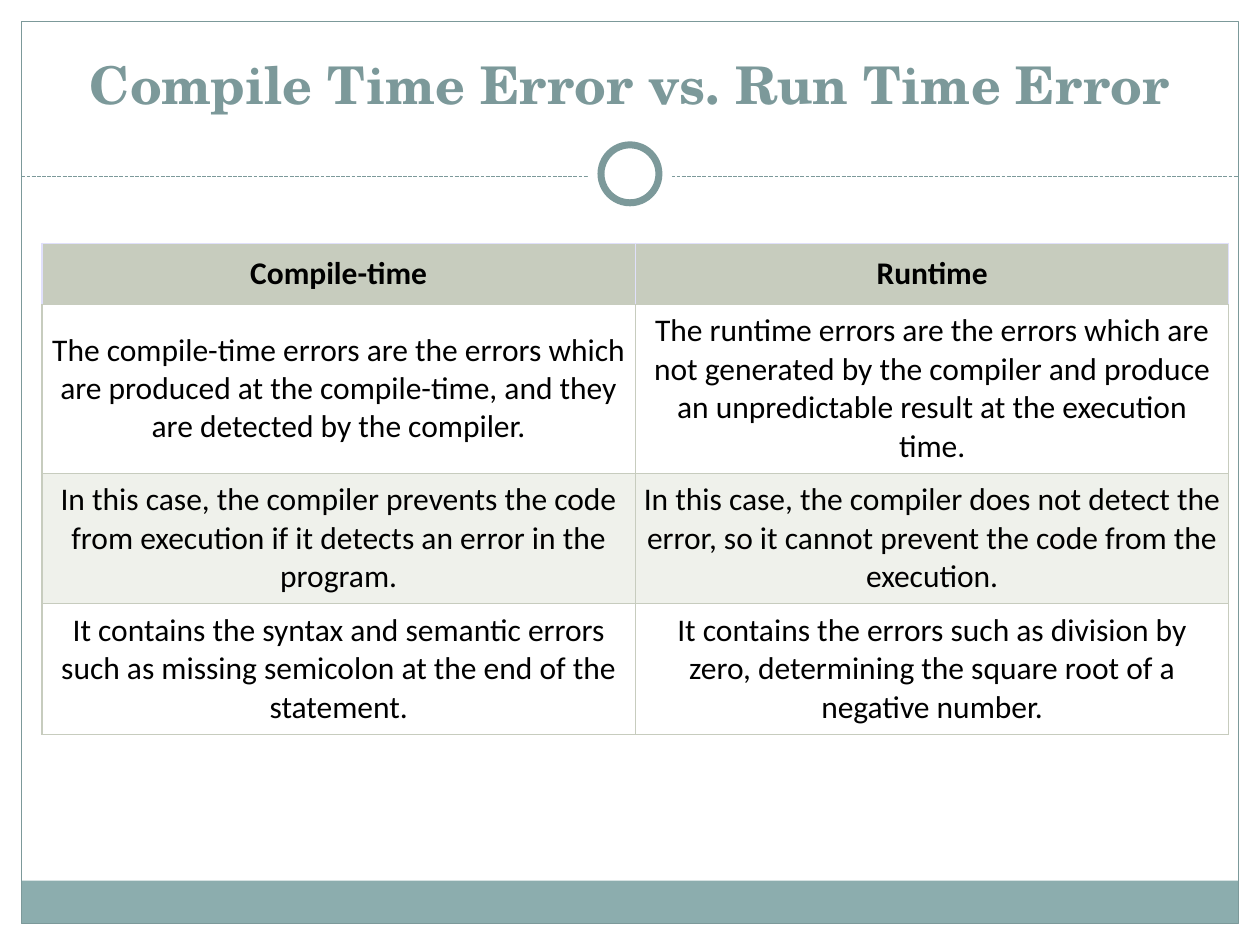
from lxml import etree
from pptx import Presentation, util as u
from pptx.dml.color import RGBColor
from pptx.enum import dml, shapes, text
from pptx.oxml import ns

WIDTH, HEIGHT = 10, 7.5
COLORS = {
    "teal": "7C999A", "band": "8CADAE", "white": "FFFFFF", "black": "000000",
    "header": "C7CCBE", "stripe": "EFF1EB", "header_edge": "E0E0FB",
}
ROWS = [
    ("Compile-time", "Runtime"),
    ("The compile-time errors are the errors which are produced at the "
     "compile-time, and they are detected by the compiler.",
     "The runtime errors are the errors which are not generated by the "
     "compiler and produce an unpredictable result at the execution time."),
    ("In this case, the compiler prevents the code from execution if it "
     "detects an error in the program.",
     "In this case, the compiler does not detect the error, so it cannot "
     "prevent the code from the execution."),
    ("It contains the syntax and semantic errors such as missing semicolon "
     "at the end of the statement.",
     "It contains the errors such as division by zero, determining the "
     "square root of a negative number."),
]
ROW_HEIGHTS = [0.4, 1.23, 1.01, 1.01]


def color(name):
    return RGBColor.from_string(COLORS[name])


def inches(*lengths):
    return [u.Inches(length) for length in lengths]


def add_text(frame, words, font, size, ink, bold):
    frame.word_wrap = True
    paragraph = frame.paragraphs[0]
    paragraph.alignment = text.PP_ALIGN.CENTER
    run = paragraph.add_run()
    run.text = words
    run.font.name, run.font.size, run.font.bold = font, u.Pt(size), bold
    run.font.color.rgb = color(ink)


def add_plain_shape(slide, kind, box, fill=None, line=None, weight=0.75):
    shape = slide.shapes.add_shape(kind, *inches(*box))
    shape.shadow.inherit = False
    if fill:
        shape.fill.solid()
        shape.fill.fore_color.rgb = color(fill)
    else:
        shape.fill.background()
    if line:
        shape.line.color.rgb = color(line)
        shape.line.width = u.Pt(weight)
    else:
        shape.line.fill.background()


def add_frame(slide, box, rule_y):
    """Border, bottom band, and the dashed rule with its central ring."""
    left, top, width, height = box
    band = 0.34
    kinds = shapes.MSO_SHAPE
    add_plain_shape(slide, kinds.RECTANGLE,
                    (left, top + height - band, width, band), fill="band")
    add_plain_shape(slide, kinds.RECTANGLE, box, line="teal")

    rule = slide.shapes.add_connector(
        shapes.MSO_CONNECTOR.STRAIGHT,
        *inches(left, rule_y, left + width, rule_y))
    rule.line.color.rgb = color("teal")
    rule.line.width = u.Pt(0.75)
    rule.line.dash_style = dml.MSO_LINE.SQUARE_DOT
    etree.SubElement(rule._element.spPr, ns.qn("a:effectLst"))

    center_x, center_y = left + width / 2, rule_y - 0.02
    for size, line in ((0.67, None), (0.46, "teal")):
        add_plain_shape(slide, kinds.OVAL,
                        (center_x - size / 2, center_y - size / 2, size, size),
                        fill="white", line=line, weight=4)


def add_title(slide, box, words):
    title = slide.shapes.title
    title.left, title.top, title.width, title.height = inches(*box)
    title.text_frame.vertical_anchor = text.MSO_ANCHOR.MIDDLE
    add_text(title.text_frame, words, "TeX Gyre Schola", 29.7, "teal", True)


def set_borders(cell, edges):
    properties = cell._tc.get_or_add_tcPr()
    for side, name in zip("LRTB", edges):
        line = etree.SubElement(properties, ns.qn(f"a:ln{side}"),
                                w=str(u.Pt(0.75)))
        fill = etree.SubElement(line, ns.qn("a:solidFill"))
        etree.SubElement(fill, ns.qn("a:srgbClr"), val=COLORS[name])


def add_comparison(slide, box):
    """Two equal columns under a header, with every second body row tinted."""
    table = slide.shapes.add_table(len(ROWS), 2, *inches(*box)).table
    for column in table.columns:
        column.width = u.Inches(box[2] / 2)
    for row, height in zip(table.rows, ROW_HEIGHTS):
        row.height = u.Inches(height)

    for row_index, words in enumerate(ROWS):
        header = row_index == 0
        edge = "header_edge" if header else "header"
        fill = "header" if header else ("stripe", "white")[row_index % 2]
        margin = u.Inches(0.09 if header else 0.06)
        for column_index, phrase in enumerate(words):
            cell = table.cell(row_index, column_index)
            cell.margin_left = cell.margin_right = margin
            cell.margin_top = cell.margin_bottom = margin
            cell.vertical_anchor = text.MSO_ANCHOR.MIDDLE
            set_borders(cell, (edge, edge, edge, "header"))
            cell.fill.solid()
            cell.fill.fore_color.rgb = color(fill)
            add_text(cell.text_frame, phrase, "Calibri", 18, "black", header)


def main():
    presentation = Presentation()
    presentation.slide_width, presentation.slide_height = inches(WIDTH, HEIGHT)
    slide = presentation.slides.add_slide(presentation.slide_layouts[5])
    edge = 0.17
    add_frame(slide, (edge, edge, WIDTH - 2 * edge, HEIGHT - 2 * edge), 1.4)
    add_title(slide, (WIDTH / 30, HEIGHT / 30, WIDTH * 28 / 30, HEIGHT / 9),
              "Compile Time Error vs. Run Time Error")
    add_comparison(slide, (WIDTH / 30, 1.93, 9.42, sum(ROW_HEIGHTS)))
    presentation.save("out.pptx")


if __name__ == "__main__":
    main()
